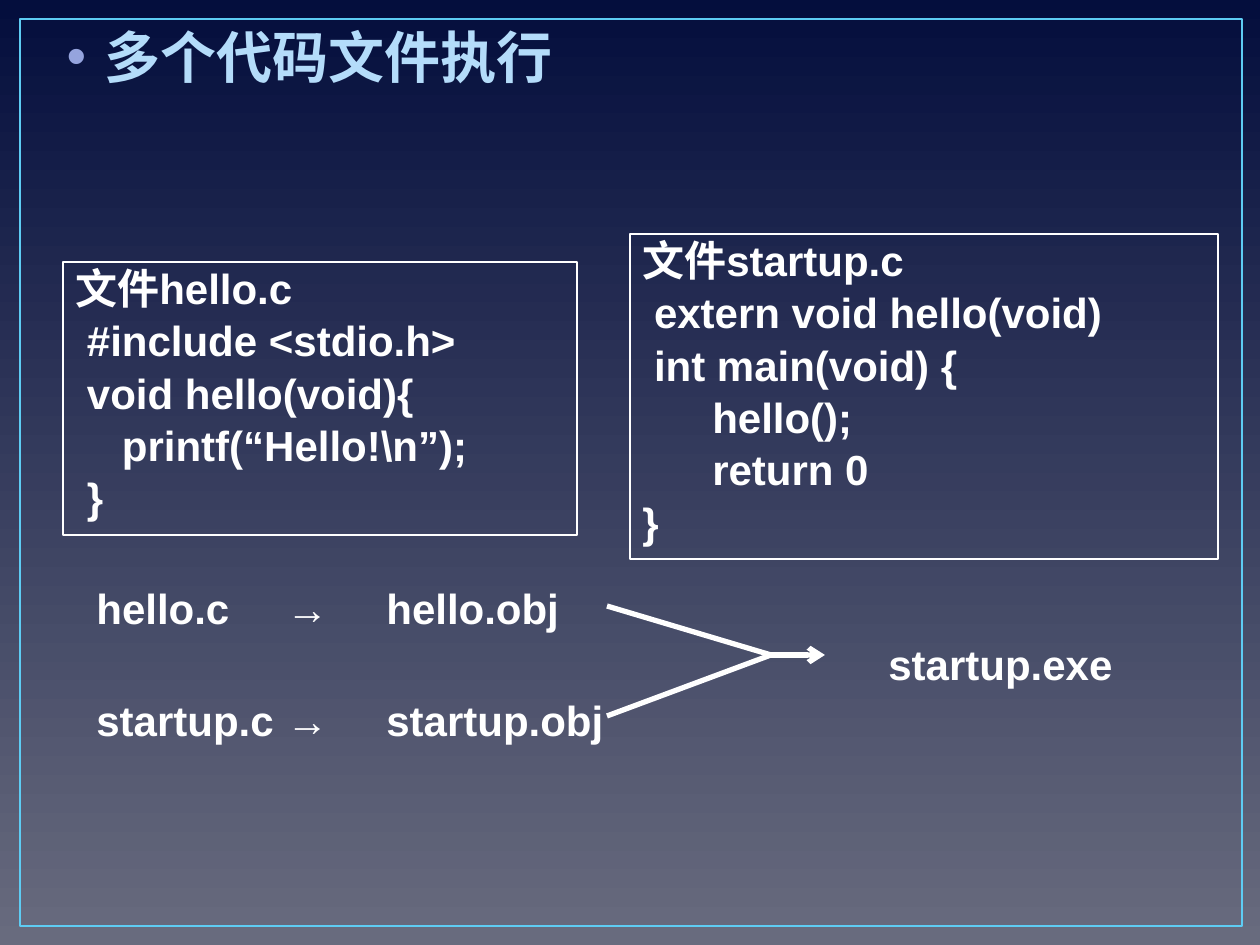
from dataclasses import dataclass
from typing import Any

from lxml.etree import SubElement
from pptx import Presentation
from pptx.dml.color import RGBColor
from pptx.enum.dml import MSO_LINE_DASH_STYLE as Dash
from pptx.enum.shapes import MSO_CONNECTOR as Connector
from pptx.enum.shapes import MSO_SHAPE as Shape
from pptx.enum.text import MSO_ANCHOR as Anchor
from pptx.enum.text import MSO_AUTO_SIZE as AutoSize
from pptx.enum.text import PP_ALIGN as Align
from pptx.oxml.ns import qn
from pptx.util import Emu, Pt


@dataclass(frozen=True)
class Theme:
    top: str = "040E3D"
    bottom: str = "686B7E"
    frame: str = "5ECCF3"
    title: str = "B4DCFA"
    bullet: str = "95A4DE"
    ink: str = "FFFFFF"
    title_font: str = "Times New Roman"
    body_font: str = "Arial"
    title_size: int = 32
    body_size: int = 24
    code_gap: int = 4
    build_gap: int = 6
    line_spacing: float = 0.9


@dataclass(frozen=True)
class Area:
    left: int
    top: int
    width: int
    height: int


@dataclass(frozen=True)
class CodePanel:
    area: Area
    lines: tuple[str, ...]


@dataclass(frozen=True)
class Link:
    start: tuple[int, int]
    end: tuple[int, int]
    arrow: bool = False


THEME = Theme()
PIXELS_PER_INCH = 126
PAGE = Area(0, 0, 1260, 945)
FRAME = Area(20, 19, 1222, 907)
TITLE = Area(54, 16, 1134, 199)
TITLE_INDENT = 38
BUILD = Area(84, 582, 1101, 218)
BUILD_STOPS = (190, 290, 792)
BUILD_LINES = (
    "hello.c\t→\thello.obj",
    "\t\t\tstartup.exe",
    "startup.c\t→\tstartup.obj",
)
PANELS = (
    CodePanel(Area(63, 262, 514, 273), (
        "文件hello.c",
        " #include <stdio.h>",
        " void hello(void){",
        "    printf(“Hello!\\n”);",
        " }",
    )),
    CodePanel(Area(630, 234, 588, 325), (
        "文件startup.c",
        " extern void hello(void)",
        " int main(void) {",
        "      hello();",
        "      return 0",
        "}",
    )),
)
JOINT = (771, 655)
LINKS = (
    Link((607, 606), JOINT),
    Link((607, 716), JOINT),
    Link(JOINT, (825, 655), arrow=True),
)


def px(value: int) -> Emu:
    return Emu(round(value * 914400 / PIXELS_PER_INCH))


def place(area: Area) -> tuple[Emu, ...]:
    return tuple(px(side) for side in (area.left, area.top, area.width, area.height))


def apply(target: Any, values: dict[str, Any]) -> None:
    for name, value in values.items():
        setattr(target, name, value)


def style_font(font: Any, name: str, size: int, color: str) -> None:
    apply(font, {"name": name, "size": Pt(size), "bold": True})
    font.color.rgb = RGBColor.from_string(color)


def style_line(line: Any, color: str, width: float) -> None:
    line.color.rgb = RGBColor.from_string(color)
    apply(line, {"width": Pt(width), "dash_style": Dash.SOLID})


def paint_background(page: Any) -> None:
    fill = page.background.fill
    fill.gradient()
    fill.gradient_angle = 90
    for stop, color, position in zip(
        fill.gradient_stops, (THEME.bottom, THEME.top), (0, 1)
    ):
        stop.color.rgb = RGBColor.from_string(color)
        stop.position = position


def draw_outline(page: Any, area: Area, color: str, width: float) -> Any:
    box = page.shapes.add_shape(Shape.RECTANGLE, *place(area))
    box.shadow.inherit = False
    box.fill.background()
    style_line(box.line, color, width)
    return box


def write_title(page: Any, text: str) -> None:
    box = page.shapes.title
    apply(box, dict(zip(("left", "top", "width", "height"), place(TITLE))))
    frame = box.text_frame
    apply(frame, {"auto_size": AutoSize.NONE, "vertical_anchor": Anchor.TOP})
    para = frame.paragraphs[0]
    para.alignment = Align.LEFT
    properties = para._p.get_or_add_pPr()
    properties.set("marL", str(px(TITLE_INDENT)))
    properties.set("indent", str(-px(TITLE_INDENT)))
    bullet_color = SubElement(properties, qn("a:buClr"))
    SubElement(bullet_color, qn("a:srgbClr"), val=THEME.bullet)
    SubElement(properties, qn("a:buFont"), typeface=THEME.body_font)
    SubElement(properties, qn("a:buChar"), char="•")
    span = para.add_run()
    span.text = text
    style_font(span.font, THEME.title_font, THEME.title_size, THEME.title)


def write_lines(
    box: Any, lines: tuple[str, ...], gap: int, stops: tuple[int, ...] = ()
) -> None:
    frame = box.text_frame
    apply(frame, {"word_wrap": True, "vertical_anchor": Anchor.TOP})
    for index, line in enumerate(lines):
        para = frame.add_paragraph() if index else frame.paragraphs[0]
        if stops:
            tabs = SubElement(para._p.get_or_add_pPr(), qn("a:tabLst"))
            for stop in stops:
                SubElement(tabs, qn("a:tab"), pos=str(px(stop)), algn="l")
        apply(para, {
            "alignment": Align.LEFT,
            "line_spacing": THEME.line_spacing,
            "space_before": Pt(gap if index else 0),
        })
        span = para.add_run()
        span.text = line
        style_font(span.font, THEME.body_font, THEME.body_size, THEME.ink)


def draw_link(group: Any, link: Link) -> None:
    ends = (px(value) for value in link.start + link.end)
    connector = group.shapes.add_connector(Connector.STRAIGHT, *ends)
    style_line(connector.line, THEME.ink, 3)
    if link.arrow:
        SubElement(connector.line._get_or_add_ln(), qn("a:tailEnd"), type="arrow")
    SubElement(connector._element.spPr, qn("a:effectLst"))


def main() -> None:
    deck = Presentation()
    apply(deck, {"slide_width": px(PAGE.width), "slide_height": px(PAGE.height)})
    page = deck.slides.add_slide(deck.slide_layouts[5])
    paint_background(page)
    draw_outline(page, FRAME, THEME.frame, 1.5)
    write_title(page, "多个代码文件执行")
    for panel in PANELS:
        box = draw_outline(page, panel.area, THEME.ink, 0.75)
        write_lines(box, panel.lines, THEME.code_gap)
    build = page.shapes.add_textbox(*place(BUILD))
    write_lines(build, BUILD_LINES, THEME.build_gap, BUILD_STOPS)
    group = page.shapes.add_group_shape()
    for link in LINKS:
        draw_link(group, link)
    deck.save("out.pptx")


if __name__ == "__main__":
    main()
